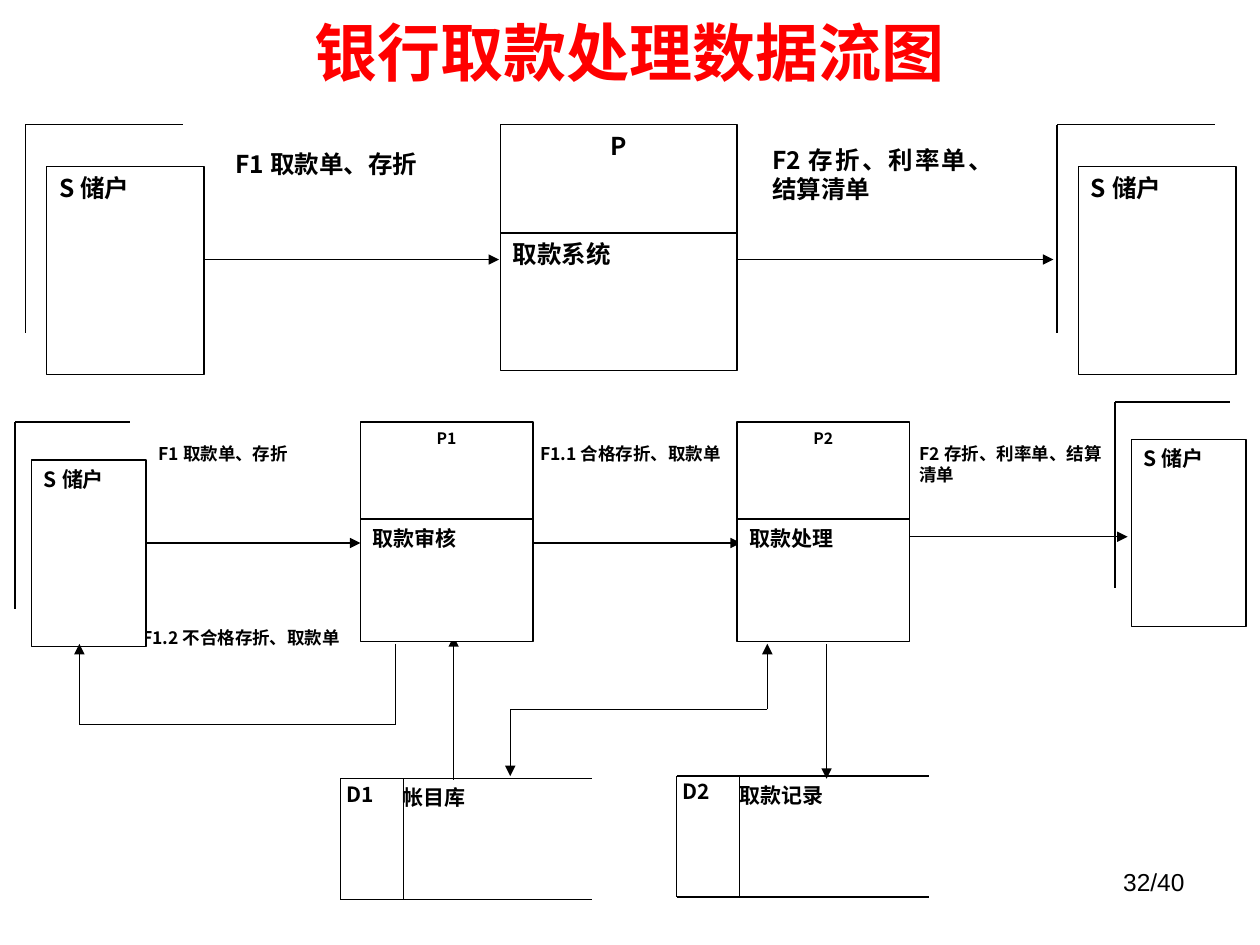
"""Builds a slide with two levels of a bank withdrawal data flow diagram."""
from dataclasses import dataclass
from itertools import pairwise

from lxml import etree
from pptx import Presentation
from pptx.dml.color import RGBColor
from pptx.enum.shapes import MSO_CONNECTOR, MSO_SHAPE
from pptx.enum.text import MSO_ANCHOR, PP_ALIGN
from pptx.oxml.ns import qn
from pptx.util import Inches, Pt

RECTANGLE = MSO_SHAPE.RECTANGLE
STRAIGHT = MSO_CONNECTOR.STRAIGHT
TOP, MIDDLE = MSO_ANCHOR.TOP, MSO_ANCHOR.MIDDLE
CENTER, RIGHT, JUSTIFY = PP_ALIGN.CENTER, PP_ALIGN.RIGHT, PP_ALIGN.JUSTIFY


@dataclass(frozen=True)
class Theme:
    ink: RGBColor = RGBColor(0, 0, 0)
    paper: RGBColor = RGBColor(255, 255, 255)
    accent: RGBColor = RGBColor(255, 0, 0)
    font: str = "Noto Sans CJK SC"
    number_font: str = "Arial"
    title: int = 36
    large: int = 14
    medium: int = 12
    small: int = 10
    tiny: int = 9
    stroke: float = 0.75


class Diagram:
    def __init__(self, page, theme):
        self.page, self.theme = page, theme

    def fill_text(self, shape, text, size, align=JUSTIFY, anchor=TOP, inset=0.1,
                  color=None, font=None, bold=True):
        frame = shape.text_frame
        layout = {"word_wrap": True, "vertical_anchor": anchor,
                  "margin_left": Inches(inset), "margin_right": Inches(0.1),
                  "margin_top": Inches(0.05), "margin_bottom": Inches(0.05)}
        for name, value in layout.items():
            setattr(frame, name, value)
        para = frame.paragraphs[0]
        para.alignment = align
        span = para.add_run()
        span.text = text
        style = {"size": Pt(size), "bold": bold, "name": font or self.theme.font}
        for name, value in style.items():
            setattr(span.font, name, value)
        span.font.color.rgb = color or self.theme.ink
        east_asian = etree.SubElement(span.font._element, qn("a:ea"))
        east_asian.set("typeface", style["name"])

    def text(self, bounds, text, size, **style):
        box = self.page.shapes.add_textbox(*map(Inches, bounds))
        self.fill_text(box, text, size, **style)

    def box(self, bounds, text, size, outline=None, **style):
        box = self.page.shapes.add_shape(RECTANGLE, *map(Inches, bounds))
        box.shadow.inherit = False
        box.fill.solid()
        box.fill.fore_color.rgb = self.theme.paper
        box.line.color.rgb = outline or self.theme.ink
        box.line.width = Pt(self.theme.stroke)
        self.fill_text(box, text, size, **style)

    def label(self, bounds, text, size, **style):
        self.box(bounds, text, size, outline=self.theme.paper, **style)

    def line(self, start, end, ends=()):
        line = self.page.shapes.add_connector(STRAIGHT, *map(Inches, (*start, *end)))
        line.line.color.rgb = self.theme.ink
        line.line.width = Pt(self.theme.stroke)
        outline = line._element.spPr.find(qn("a:ln"))
        for end_name in ends:
            arrow = etree.SubElement(outline, qn(f"a:{end_name}"))
            arrow.set("type", "triangle")
        etree.SubElement(line._element.spPr, qn("a:effectLst"))

    def flow(self, *points, both=False):
        segments = list(pairwise(points))
        for index, (start, end) in enumerate(segments):
            ends = ["headEnd"] if both and index == 0 else []
            if index == len(segments) - 1:
                ends.append("tailEnd")
            self.line(start, end, ends)

    def entity(self, bounds, offset, size):
        left, top, width, height = bounds
        x, y = left - offset[0], top - offset[1]
        self.box(bounds, "S储户", size)
        self.line((x, y), (x + width, y))
        self.line((x, y), (x, y + height))

    def process(self, bounds, split, code, name, code_size, name_size):
        left, top, width, height = bounds
        self.box((left, top + split, width, height - split), name, name_size)
        self.box((left, top, width, split), code, code_size, align=CENTER)

    def store(self, left, top, code, name):
        width, height, divider = 2, 0.96, 0.5
        size = self.theme.medium
        self.label((left - 0.13, top - 0.03, 0.8, height), code, size, inset=0.18)
        self.label((left + 0.4, top, width, height), name, size)
        for x in (left, left + divider):
            self.line((x, top), (x, top + height))
        for y in (top, top + height):
            self.line((left, y), (left + width, y))


def main():
    deck = Presentation()
    deck.slide_width, deck.slide_height = Inches(10), Inches(7.5)
    theme = Theme()
    diagram = Diagram(deck.slides.add_slide(deck.slide_layouts[6]), theme)

    diagram.text((7.17, 6.83, 2.33, 0.52), "32/40", theme.large, align=RIGHT,
                 font=theme.number_font, bold=False)
    diagram.text((0.5, 0.05, 9, 0.71), "银行取款处理数据流图", theme.title,
                 align=CENTER, anchor=MIDDLE, color=theme.accent)

    for bounds, text, size in (
        ((6.03, 1.1, 1.95, 2.5), "F2存折、利率单、结算清单", theme.large),
        ((1.77, 1.13, 1.95, 2.19), "F1取款单、存折", theme.large),
        ((1.16, 3.47, 1.41, 1.96), "F1取款单、存折", theme.small),
        ((1.03, 4.93, 1.83, 1.92), "F1.2不合格存折、取款单", theme.small),
        ((7.2, 3.47, 1.64, 2.28), "F2存折、利率单、结算清单", theme.small),
        ((4.19, 3.47, 1.81, 1.96), "F1.1合格存折、取款单", theme.small),
    ):
        diagram.label(bounds, text, size)

    diagram.store(2.7, 6.18, "D1", "帐目库")
    diagram.store(5.37, 6.16, "D2", "取款记录")

    for left in (0.37, 8.56):
        diagram.entity((left, 1.32, 1.25, 1.65), (0.17, 0.33), theme.large)
    for left, top in ((0.25, 3.65), (8.98, 3.49)):
        diagram.entity((left, top, 0.91, 1.48), (0.13, 0.3), theme.medium)

    for points in (
        ((1.62, 2.06), (3.96, 2.06)),
        ((5.85, 2.06), (8.36, 2.06)),
        ((1.16, 4.31), (2.86, 4.31)),
        ((4.23, 4.31), (5.88, 4.31)),
        ((7.2, 4.26), (8.95, 4.26)),
        ((3.6, 6.19), (3.6, 5.05)),
        ((6.56, 5.11), (6.56, 6.18)),
        ((3.14, 5.11), (3.14, 5.75), (0.63, 5.75), (0.63, 5.11)),
    ):
        diagram.flow(*points)
    diagram.flow((4.05, 6.16), (4.05, 5.63), (6.09, 5.63), (6.09, 5.11), both=True)

    diagram.process((3.97, 0.99, 1.88, 1.95), 0.86, "P", "取款系统",
                    theme.large, theme.large)
    for left, code, name in ((2.86, "P1", "取款审核"), (5.85, "P2", "取款处理")):
        diagram.process((left, 3.35, 1.37, 1.74), 0.77, code, name,
                        theme.tiny, theme.medium)

    deck.save("out.pptx")


if __name__ == "__main__":
    main()
